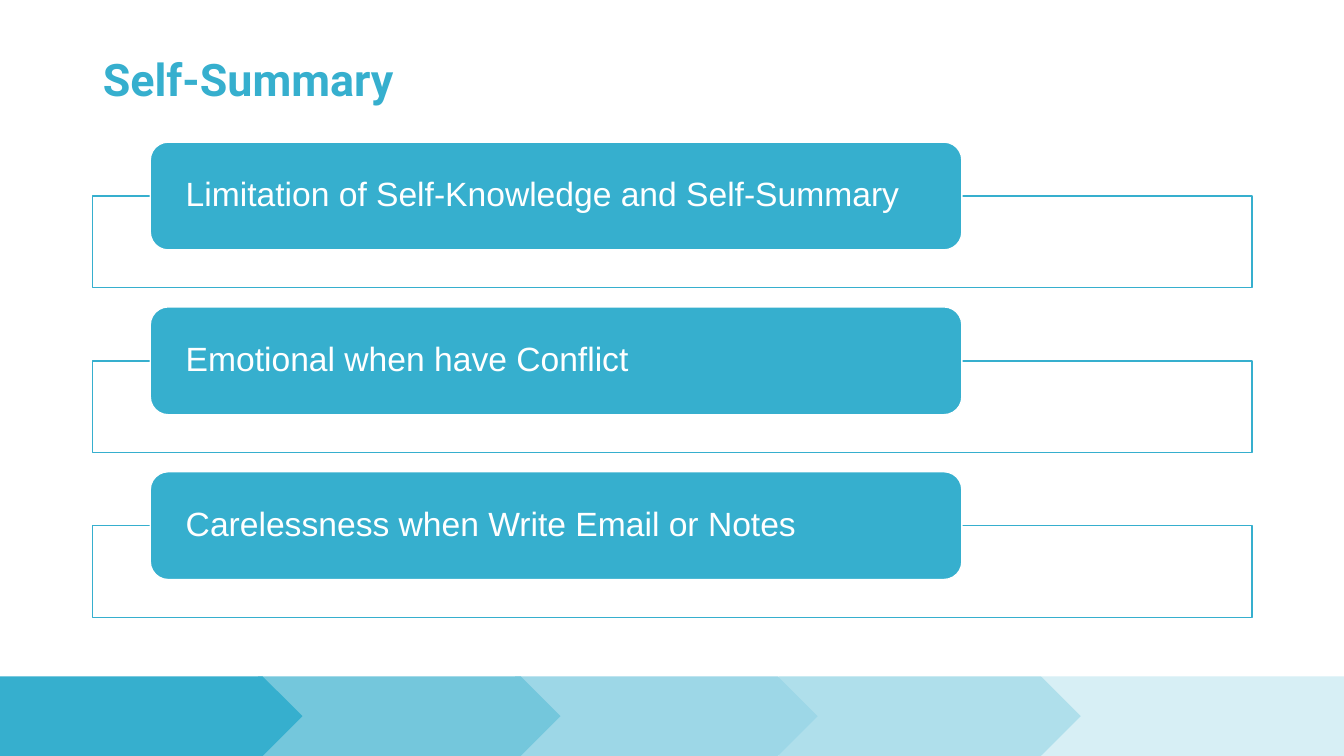
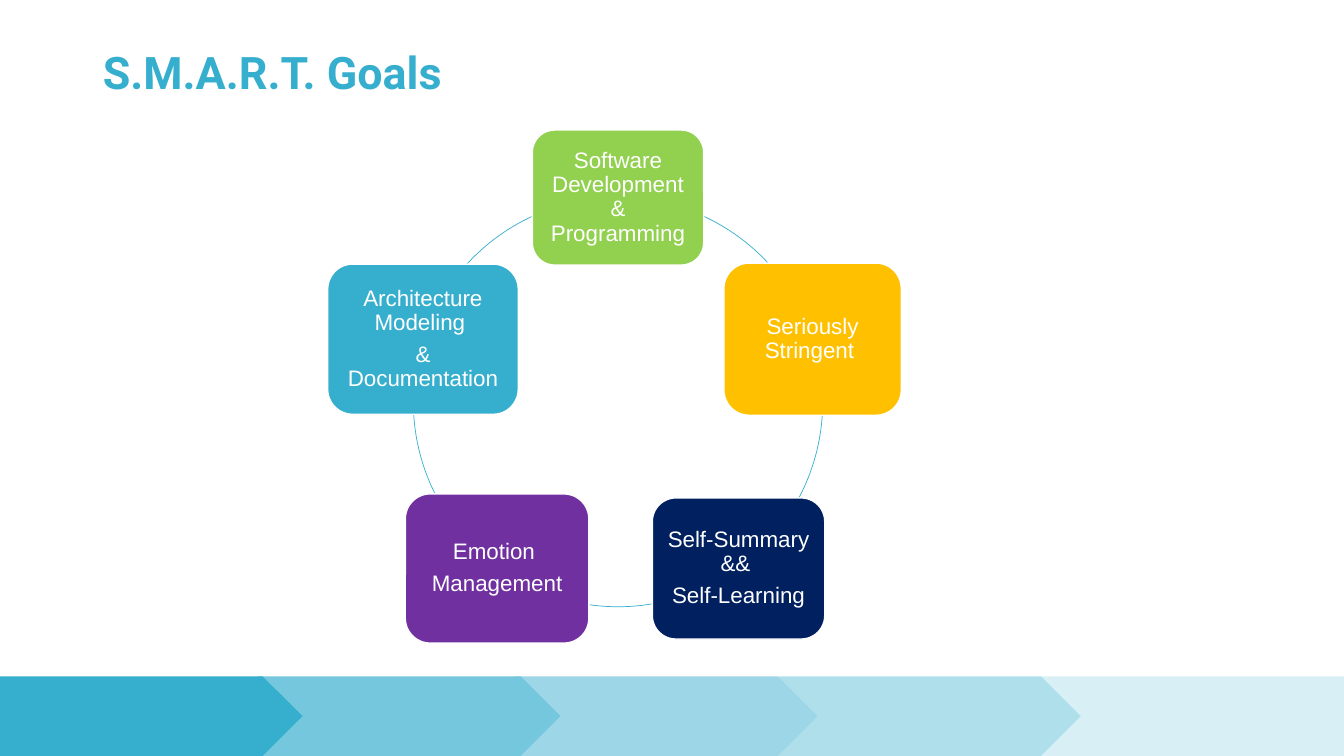
import pptx
import pptx.util
import pptx.dml.color
import pptx.enum.shapes
import pptx.enum.text

Inches, Pt = pptx.util.Inches, pptx.util.Pt
Preset = pptx.enum.shapes.MSO_SHAPE
Align = pptx.enum.text.PP_ALIGN
Anchor = pptx.enum.text.MSO_ANCHOR

WIDTH, HEIGHT = 13.33, 7.5
TEAL, WHITE = "36AFCE", "FFFFFF"
MARGIN, CONTENT_WIDTH = 0.92, 11.5

BAND_TOP, BAND_STEP_WIDTH = 6.71, 3
BAND_STEPS = [
    (0, TEAL),
    (2.56, "74C7DC"),
    (5.11, "9DD7E7"),
    (7.72, "AFDFEB"),
    (10.33, "D7EFF5"),
]

SUMMARY_TITLE = ("Self-Summary", 0.48)
WEAKNESSES = [
    "Limitation of Self-Knowledge and Self-Summary",
    "Emotional when have Conflict",
    "Carelessness when Write Email or Notes",
]
LABEL_TOP, LABEL_HEIGHT, ROW_PITCH = 1.41, 1.07, 1.635
LABEL_INDENT, LABEL_SHARE = 0.57, 0.7
FRAME_HEIGHT = 0.91

GOALS_TITLE = ("S.M.A.R.T. Goals", 0.41)
RING = (4.1, 1.96, 4.06, 4.06)
GOALS = [
    (["Software Development & Programming"], "92D050", (5.28, 1.29, 1.7, 1.34)),
    (["Seriously Stringent "], "FFC000", (7.18, 2.61, 1.76, 1.51)),
    (["Self-Summary && ", "Self-Learning"], "002060", (6.47, 4.94, 1.71, 1.4)),
    (["Emotion ", "Management"], "7030A0", (4.02, 4.9, 1.82, 1.48)),
    (["Architecture Modeling ", "& Documentation"], TEAL, (3.25, 2.62, 1.89, 1.49)),
]


def color(code):
    return pptx.dml.color.RGBColor.from_string(code)


def add_box(slide, preset, place, fill=None, line=None, line_width=1):
    box = slide.shapes.add_shape(preset, *map(Inches, place))
    box.shadow.inherit = False
    if fill:
        box.fill.solid()
        box.fill.fore_color.rgb = color(fill)
    else:
        box.fill.background()
    if line:
        box.line.color.rgb = color(line)
        box.line.width = Pt(line_width)
    else:
        box.line.fill.background()
    return box


def style_paragraph(paragraph, font_name, size, font_color, align, bold=False):
    paragraph.alignment = align
    paragraph.line_spacing = 0.9
    paragraph.font.name = font_name
    paragraph.font.size = Pt(size)
    paragraph.font.bold = bold
    paragraph.font.color.rgb = color(font_color)


def add_card(slide, lines, fill, place, size, align, side_inset, end_inset):
    card = add_box(slide, Preset.ROUNDED_RECTANGLE, place, fill, WHITE)
    frame = card.text_frame
    frame.word_wrap = True
    frame.vertical_anchor = Anchor.MIDDLE
    frame.margin_left = frame.margin_right = Inches(side_inset)
    frame.margin_top = frame.margin_bottom = Inches(end_inset)
    frame.text = "\n".join(lines)
    for paragraph in frame.paragraphs:
        style_paragraph(paragraph, "Arial", size, WHITE, align)
        paragraph.space_after = Pt(round(size * 0.35, 1))


def add_titled_slide(deck, layout, text, top):
    slide = deck.slides.add_slide(layout)
    title = slide.shapes.title
    title.left, title.top, title.width, title.height = map(
        Inches, (MARGIN, top, CONTENT_WIDTH, 0.67))
    title.text_frame.text = text
    title.text_frame.vertical_anchor = Anchor.MIDDLE
    style_paragraph(title.text_frame.paragraphs[0], "Roboto", 32, TEAL, Align.LEFT, True)
    return slide


def move_band_to_layout(slide, layout):
    last_left = BAND_STEPS[-1][0]
    for number, (left, fill) in enumerate(reversed(BAND_STEPS)):
        preset = Preset.RECTANGLE if left == last_left else Preset.PENTAGON
        step = add_box(slide, preset,
                       (left, BAND_TOP, BAND_STEP_WIDTH, HEIGHT - BAND_TOP), fill)
        step._element.nvSpPr.cNvPr.set("id", str(20 + number))
        layout.shapes._spTree.append(step._element)


def add_weaknesses(slide):
    for row, weakness in enumerate(WEAKNESSES):
        top = LABEL_TOP + row * ROW_PITCH
        add_box(slide, Preset.RECTANGLE,
                (MARGIN, top + LABEL_HEIGHT / 2, CONTENT_WIDTH, FRAME_HEIGHT), WHITE, TEAL)
        place = (MARGIN + LABEL_INDENT, top, CONTENT_WIDTH * LABEL_SHARE, LABEL_HEIGHT)
        add_card(slide, [weakness], TEAL, place, 24, Align.LEFT, 0.3, 0)


def add_goals(slide):
    add_box(slide, Preset.OVAL, RING, line=TEAL, line_width=0.5)
    for lines, fill, place in GOALS:
        add_card(slide, lines, fill, place, 16, Align.CENTER, 0.07, 0.07)


def main():
    deck = pptx.Presentation()
    deck.slide_width, deck.slide_height = Inches(WIDTH), Inches(HEIGHT)
    layout = deck.slide_layouts[5]
    summary = add_titled_slide(deck, layout, *SUMMARY_TITLE)
    move_band_to_layout(summary, layout)
    add_weaknesses(summary)
    add_goals(add_titled_slide(deck, layout, *GOALS_TITLE))
    deck.save("out.pptx")


if __name__ == "__main__":
    main()
